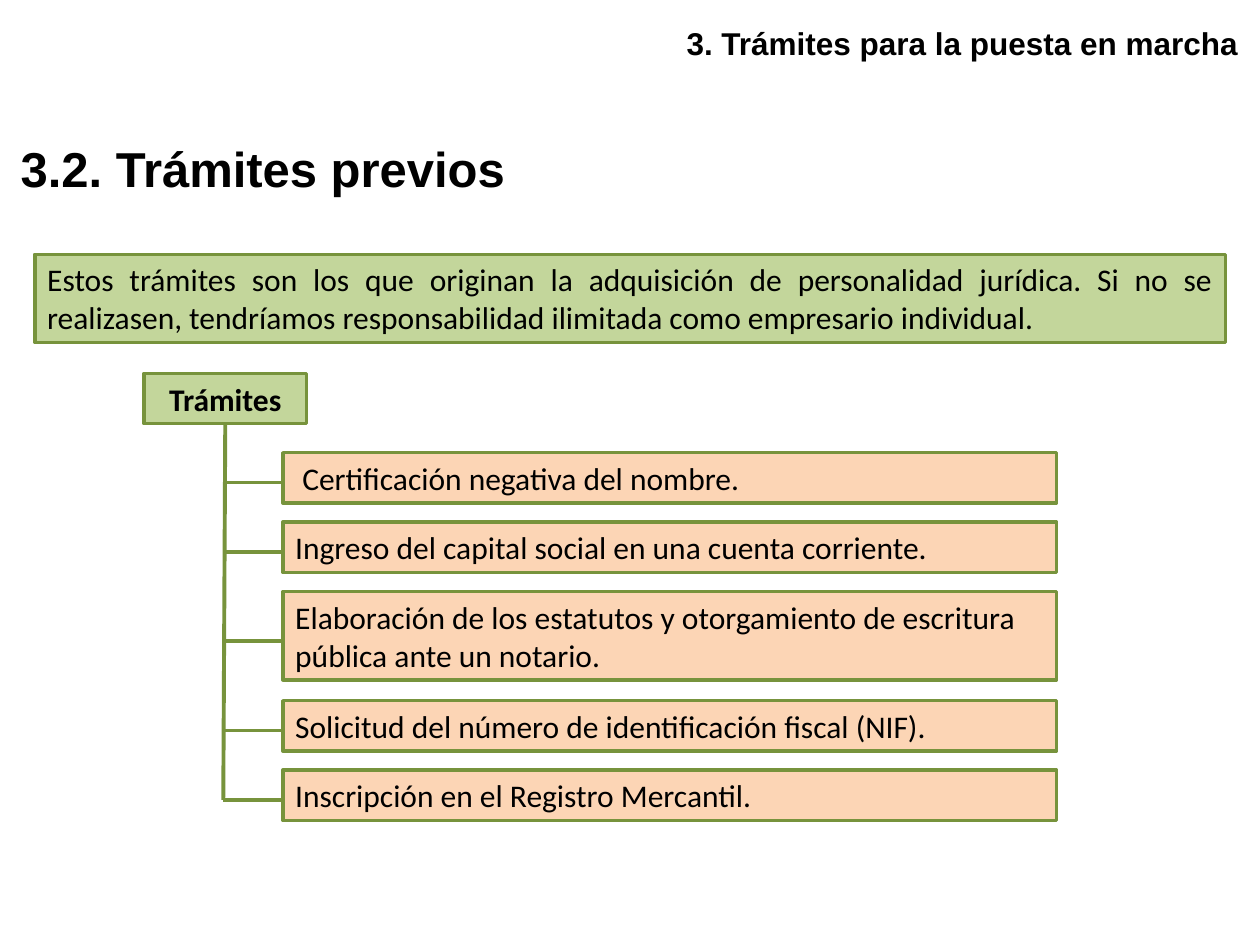
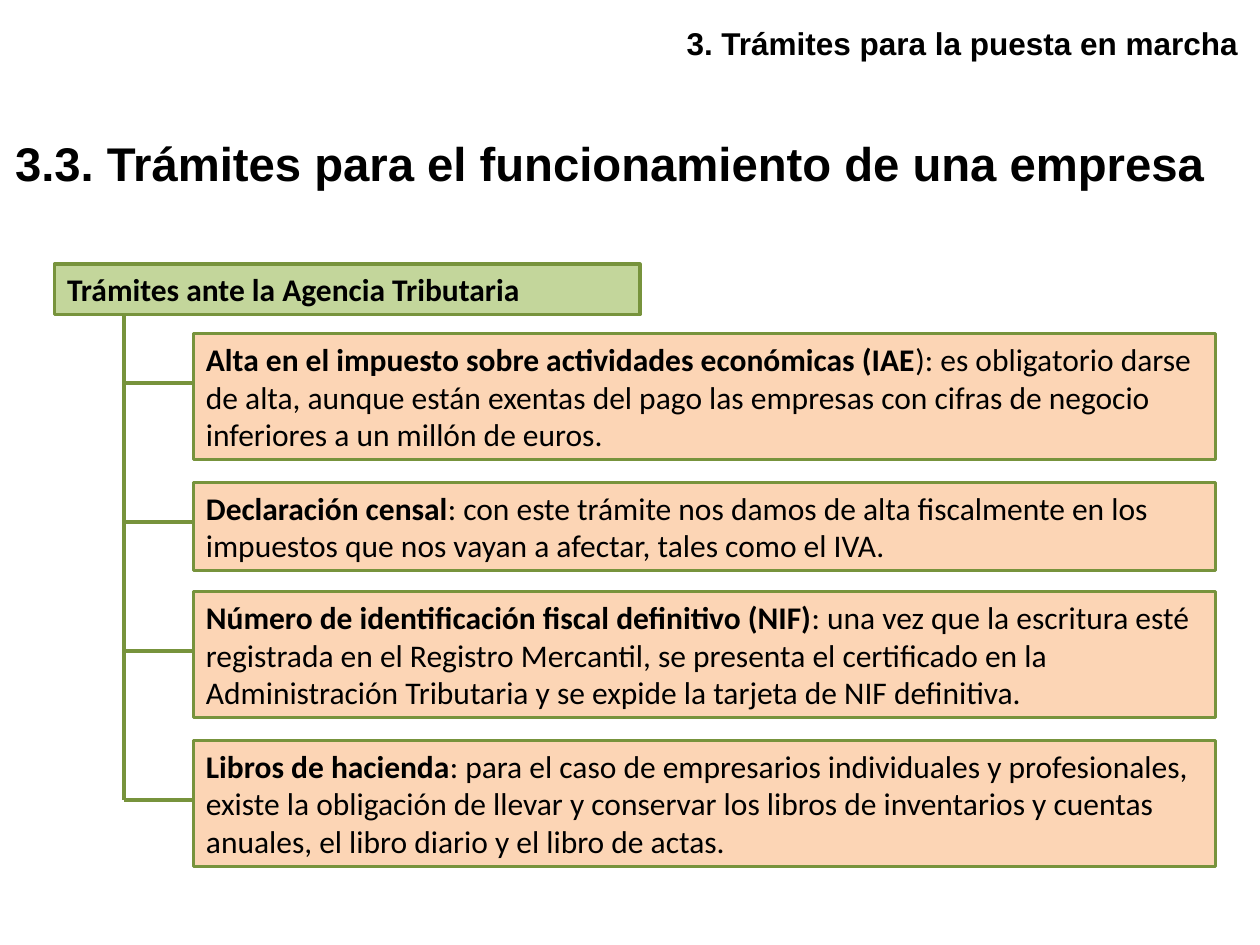
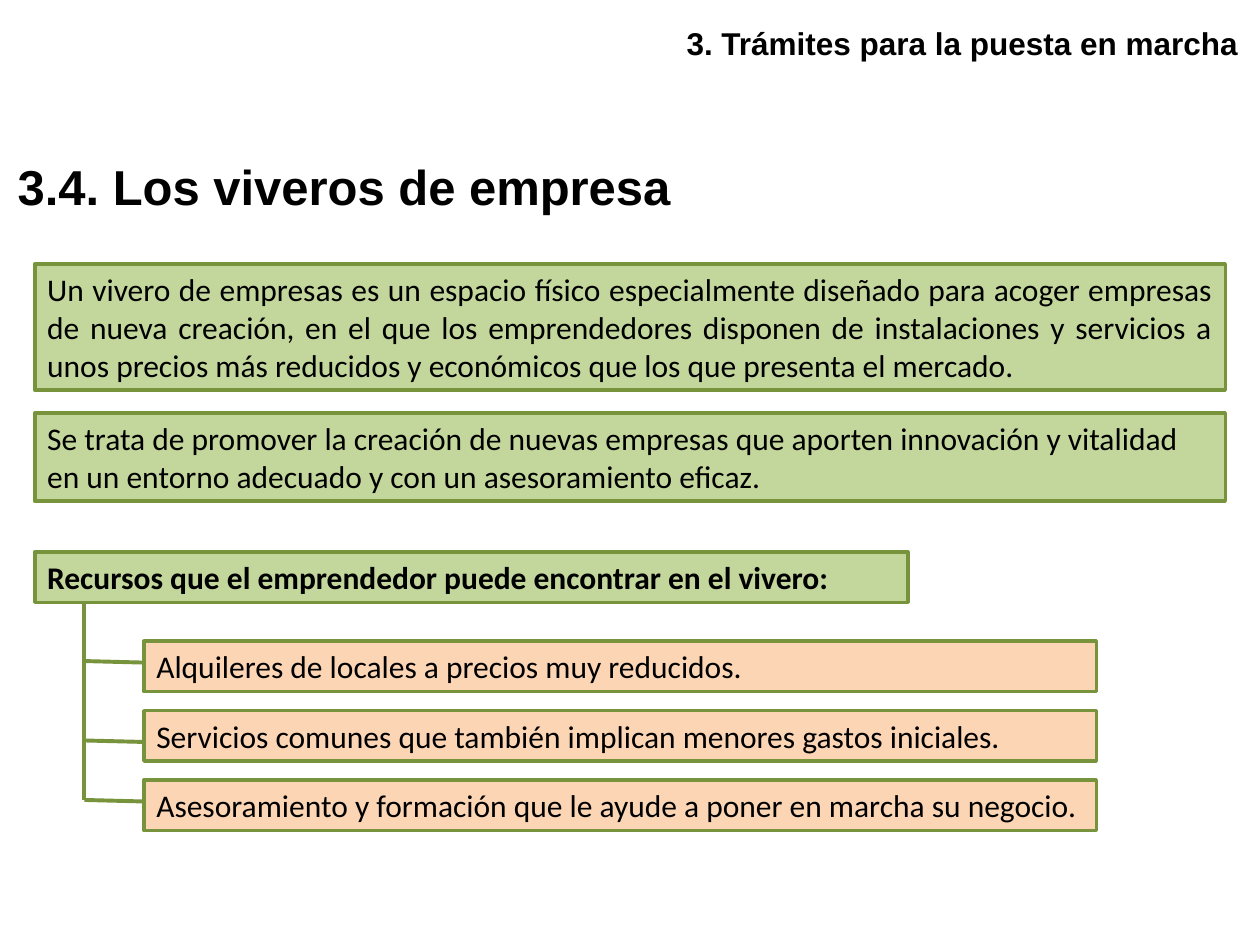
from dataclasses import dataclass

from lxml import etree
from pptx import Presentation
from pptx import util as u
from pptx.dml.color import RGBColor
from pptx.enum import shapes, text
from pptx.oxml.ns import qn


@dataclass(frozen=True)
class Theme:
    ink: str = "000000"
    paper: str = "FFFFFF"
    green: str = "C3D69B"
    peach: str = "FCD5B5"
    edge: str = "77933C"
    head: str = "Arial"
    body: str = "Calibri"
    size: float = 18
    big: float = 28
    rim: float = 2
    wire: float = 2.25


THEME = Theme()
CELL = 2 / 25.4  # grid step of 2 mm
LEFT, TOP = 0.04, 0.05  # grid origin, inches
PAD, LINE = 0.1, 0.3  # box padding and height of a text line, inches
ALIGN = text.PP_ALIGN


def tint(hue):
    return RGBColor.from_string(hue)


def col(n):
    return u.Inches(LEFT + n * CELL)


def row(n):
    return u.Inches(TOP + n * CELL)


def write(frame, words, lead="", size=THEME.size, font=THEME.body,
          bold=False, align=ALIGN.LEFT):
    """Fill a frame with one paragraph; lead is its bold opening."""
    frame.word_wrap = True
    para = frame.paragraphs[0]
    para.alignment = align
    for part, heavy in ((lead, True), (words, bold)):
        if part:
            run = para.add_run()
            run.text = part
            run.font.size, run.font.name = u.Pt(size), font
            run.font.bold = heavy
            run.font.color.rgb = tint(THEME.ink)


class Deck:
    def __init__(self, theme):
        self.theme = theme
        self.prs = Presentation()
        self.prs.slide_width, self.prs.slide_height = u.Inches(10), u.Inches(7.5)
        self.plan = self.prs.slide_layouts[5]
        self.slide = None

    def area(self, x, y, w, h):
        """Turn percentages of the slide into lengths."""
        wide, high = self.prs.slide_width, self.prs.slide_height
        return [int(part * full / 100)
                for part, full in ((x, wide), (y, high), (w, wide), (h, high))]

    def start(self, words, x, y, w, **form):
        self.slide = self.prs.slides.add_slide(self.plan)
        title = self.slide.shapes.title
        title.left, title.top, title.width, title.height = self.area(x, y, w, 6.7)
        title.fill.solid()
        title.fill.fore_color.rgb = tint(self.theme.paper)
        frame = title.text_frame
        frame.auto_size = text.MSO_AUTO_SIZE.NONE
        frame.vertical_anchor = text.MSO_ANCHOR.MIDDLE
        frame.margin_left = frame.margin_right = u.Inches(0.12)
        form = {"size": self.theme.big, **form}
        write(frame, words, font=self.theme.head, bold=True, **form)

    def banner(self, words):
        """Place the running header on the layout that all slides share."""
        box = self.slide.shapes.add_textbox(*self.area(53.5, 2.1, 46.5, 4.9))
        box.text_frame.vertical_anchor = text.MSO_ANCHOR.MIDDLE
        write(box.text_frame, words, font=self.theme.head, bold=True)
        self.plan.shapes.element.append(box.element)

    def box(self, words, x, y, w, lines=1, fill=THEME.green, **form):
        shape = self.slide.shapes.add_shape(
            shapes.MSO_SHAPE.RECTANGLE, col(x), row(y),
            u.Inches(w * CELL), u.Inches(PAD + lines * LINE))
        shape.shadow.inherit = False
        shape.fill.solid()
        shape.fill.fore_color.rgb = tint(fill)
        shape.line.color.rgb = tint(self.theme.edge)
        shape.line.width = u.Pt(self.theme.rim)
        frame = shape.text_frame
        frame.vertical_anchor = text.MSO_ANCHOR.TOP
        frame.auto_size = text.MSO_AUTO_SIZE.SHAPE_TO_FIT_TEXT
        write(frame, words, **form)

    def wire(self, x1, y1, x2, y2):
        line = self.slide.shapes.add_connector(
            shapes.MSO_CONNECTOR.STRAIGHT, col(x1), row(y1), col(x2), row(y2))
        line.line.color.rgb = tint(self.theme.edge)
        line.line.width = u.Pt(self.theme.wire)
        etree.SubElement(line.element.spPr, qn("a:effectLst"))

    def tree(self, items, trunk, root, x, y, w, lean=0, tilt=0):
        """Stack items (lead, words, lines, drop) and join them to a trunk.

        drop is how many rows below its box's top a branch runs; lean shifts
        the top of the trunk and tilt lowers the far end of each branch.
        """
        for lead, words, lines, drop in items:
            self.box(words, x, y, w, lines, self.theme.peach, lead=lead)
            end = y + drop
            self.wire(trunk, end, x, end + tilt)
            y += 4 * lines + 3
        self.wire(trunk + lean, root, trunk, end)


def main():
    deck = Deck(THEME)

    deck.start("3.2. Trámites previos ", 0, 14.4, 41.7, align=ALIGN.CENTER)
    deck.banner("3. Trámites para la puesta en marcha")
    deck.box("Estos trámites son los que originan la adquisición de personalidad "
             "jurídica. Si no se realizasen, tendríamos responsabilidad ilimitada "
             "como empresario individual.", 3, 25, 120, 2, align=ALIGN.JUSTIFY)
    deck.box("Trámites", 14, 37, 16.4, bold=True, align=ALIGN.CENTER)
    deck.tree([
        ("", " Certificación negativa del nombre.", 1, 3),
        ("", "Ingreso del capital social en una cuenta corriente.", 1, 3),
        ("", "Elaboración de los estatutos y otorgamiento de escritura pública "
             "ante un notario.", 2, 5),
        ("", "Solicitud del número de identificación fiscal (NIF).", 1, 3),
        ("", "Inscripción en el Registro Mercantil.", 1, 3),
    ], trunk=22, root=42.2, x=28, y=45, w=78, lean=0.2)

    deck.start("3.3. Trámites para el funcionamiento de una empresa",
               0, 13.9, 100, size=27)
    deck.box("Trámites ante la Agencia Tributaria", 5, 26, 59, bold=True)
    deck.tree([
        ("Alta en el impuesto sobre actividades económicas (IAE",
         "): es obligatorio darse de alta, aunque están exentas del pago las "
         "empresas con cifras de negocio inferiores a un millón de euros.", 3, 5),
        ("Declaración censal",
         ": con este trámite nos damos de alta fiscalmente en los impuestos que "
         "nos vayan a afectar, tales como el IVA.", 2, 4),
        ("Número de identificación fiscal definitivo (NIF)",
         ": una vez que la escritura esté registrada en el Registro Mercantil, se "
         "presenta el certificado en la Administración Tributaria y se expide la "
         "tarjeta de NIF definitiva.", 3, 6),
        ("Libros de hacienda",
         ": para el caso de empresarios individuales y profesionales, existe la "
         "obligación de llevar y conservar los libros de inventarios y cuentas "
         "anuales, el libro diario y el libro de actas.", 3, 6),
    ], trunk=12, root=31, x=19, y=33, w=103)

    deck.start("3.4. Los viveros de empresa", 0.2, 16.3, 61.4)
    deck.box("Un vivero de empresas es un espacio físico especialmente diseñado para "
             "acoger empresas de nueva creación, en el que los emprendedores disponen "
             "de instalaciones y servicios a unos precios más reducidos y económicos "
             "que los que presenta el mercado.", 3, 26, 120, 3, align=ALIGN.JUSTIFY)
    deck.box("Se trata de promover la creación de nuevas empresas que aporten "
             "innovación y vitalidad en un entorno adecuado y con un asesoramiento "
             "eficaz.", 3, 41, 120, 2)
    deck.box("Recursos que el emprendedor puede encontrar en el vivero:",
             3, 55, 88, bold=True)
    deck.tree([
        ("", "Alquileres de locales a precios muy reducidos.", 1, 2),
        ("", "Servicios comunes que también implican menores gastos iniciales.", 1, 3),
        ("", "Asesoramiento y formación que le ayude a poner en marcha su negocio.",
         1, 2),
    ], trunk=8, root=60, x=14, y=64, w=96, tilt=0.15)

    deck.prs.save("out.pptx")


if __name__ == "__main__":
    main()
